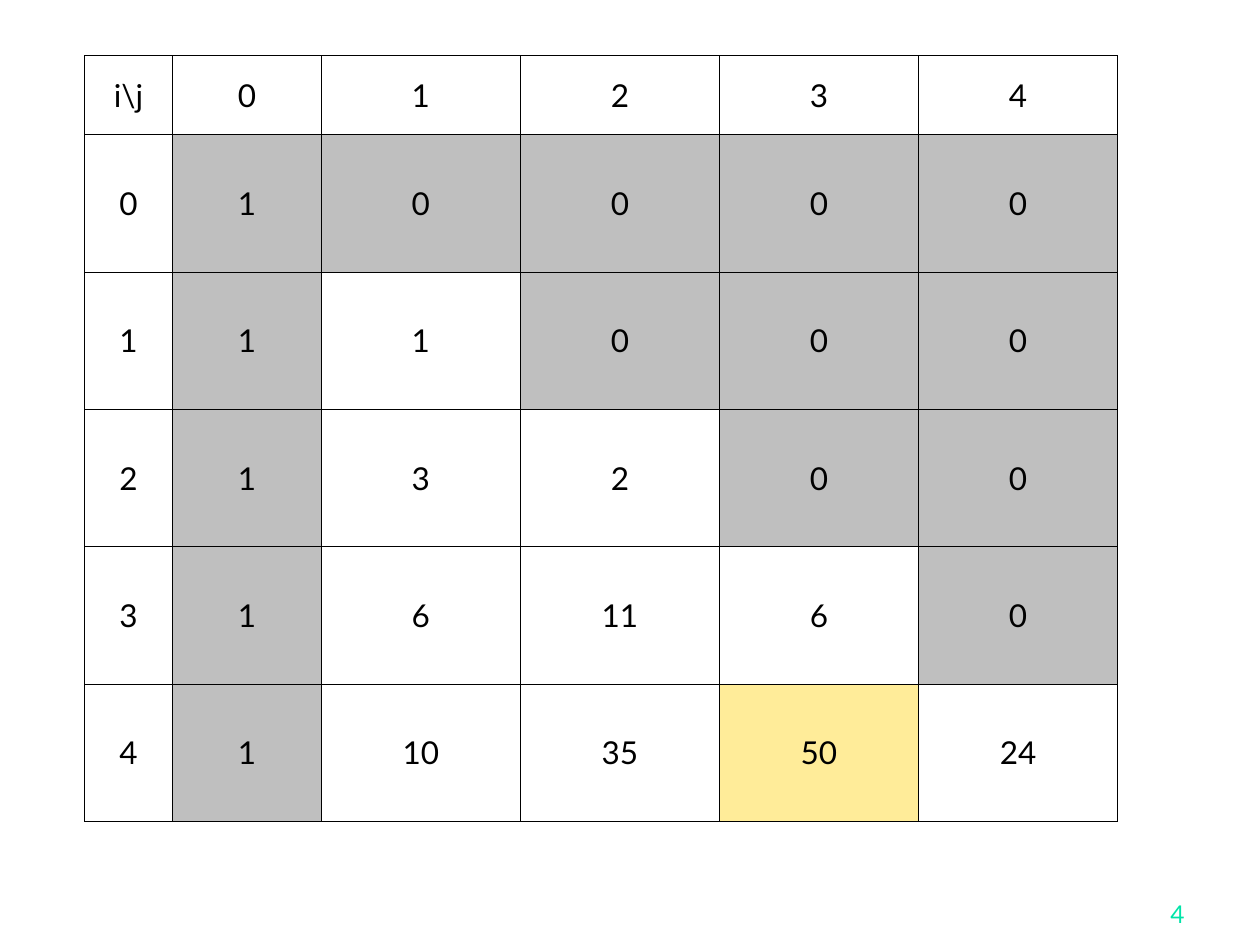
"""Build a slide with a table of recurrence values, its base cases shaded."""
from lxml import etree
from pptx import Presentation
from pptx import util as u
from pptx.dml.color import RGBColor
from pptx.enum import text
from pptx.oxml.ns import qn

THEME = {
    "font": "Lato",
    "ink": "000000",
    "accent": "00E4A8",
    "base_case": "BFBFBF",
    "answer": "FFEC99",
    "cell_size": 18,
    "number_size": 14,
    "border": 0.45,
}
VALUES = [
    [1, 0, 0, 0, 0],
    [1, 1, 0, 0, 0],
    [1, 3, 2, 0, 0],
    [1, 6, 11, 6, 0],
    [1, 10, 35, 50, 24],
]
ANSWER = (4, 3)
COLUMN_WIDTHS = [0.7, 1.18] + [1.58] * 4
ROW_HEIGHTS = [0.63] + [1.09] * 5


def write(frame, words, align, size, color):
    para = frame.paragraphs[0]
    para.alignment = align
    span = para.add_run()
    span.text = words
    span.font.color.rgb = RGBColor.from_string(color)
    for name, value in {"name": THEME["font"], "size": u.Pt(size)}.items():
        setattr(span.font, name, value)


def add_borders(cell):
    properties = cell._tc.get_or_add_tcPr()
    for position, side in enumerate(("lnL", "lnR", "lnT", "lnB")):
        line = etree.Element(qn(f"a:{side}"), w=str(u.Pt(THEME["border"])))
        fill = etree.SubElement(line, qn("a:solidFill"))
        etree.SubElement(fill, qn("a:srgbClr"), val=THEME["ink"])
        properties.insert(position, line)


deck = Presentation()
deck.slide_width, deck.slide_height = u.Inches(10), u.Inches(7.5)
page = deck.slides.add_slide(deck.slide_layouts[6])

number_box = page.shapes.add_textbox(
    u.Inches(7.42), u.Inches(6.92), u.Inches(2.08), u.Inches(0.5))
number_format = {"word_wrap": True, "vertical_anchor": text.MSO_ANCHOR.BOTTOM}
for name, value in number_format.items():
    setattr(number_box.text_frame, name, value)
write(number_box.text_frame, "4", text.PP_ALIGN.RIGHT,
      THEME["number_size"], THEME["accent"])

table = page.shapes.add_table(
    len(ROW_HEIGHTS), len(COLUMN_WIDTHS), u.Inches(0.67), u.Inches(0.44),
    u.Inches(sum(COLUMN_WIDTHS)), u.Inches(sum(ROW_HEIGHTS))).table
for name in ("first_row", "horz_banding"):
    setattr(table, name, False)
for column, width in zip(table.columns, COLUMN_WIDTHS):
    column.width = u.Inches(width)
for row, height in zip(table.rows, ROW_HEIGHTS):
    row.height = u.Inches(height)

grid = [["i\\j", *range(5)]] + [[i, *row] for i, row in enumerate(VALUES)]
for i, row in enumerate(grid, start=-1):
    for j, value in enumerate(row, start=-1):
        cell = table.cell(i + 1, j + 1)
        cell.vertical_anchor = text.MSO_ANCHOR.MIDDLE
        write(cell.text_frame, str(value), text.PP_ALIGN.CENTER,
              THEME["cell_size"], THEME["ink"])
        is_base_case = i >= 0 and (j == 0 or j > i)
        if is_base_case or (i, j) == ANSWER:
            shade = THEME["base_case" if is_base_case else "answer"]
            cell.fill.solid()
            cell.fill.fore_color.rgb = RGBColor.from_string(shade)
        else:
            cell.fill.background()
        add_borders(cell)

deck.save("out.pptx")
